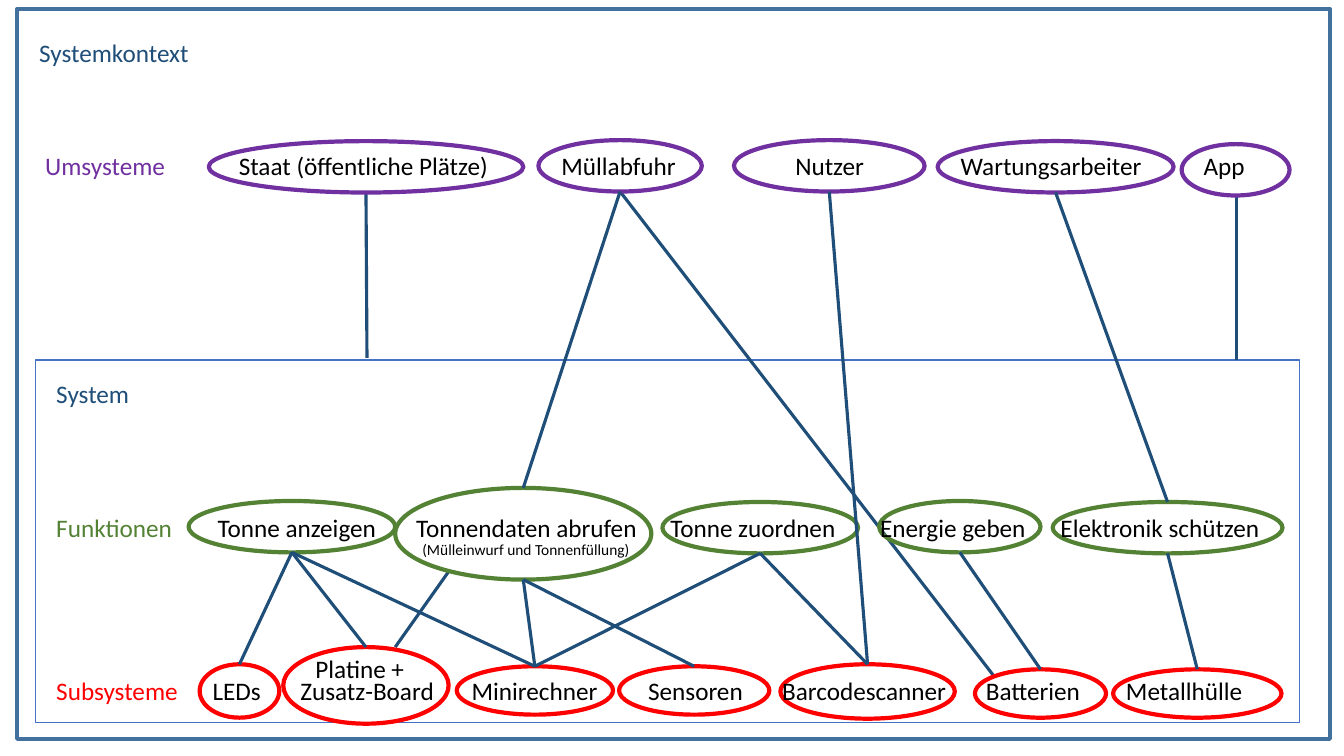
from lxml.etree import SubElement
from pptx import Presentation
from pptx.dml.color import RGBColor
from pptx.enum.shapes import MSO_CONNECTOR, MSO_SHAPE
from pptx.enum.text import MSO_AUTO_SIZE
from pptx.oxml.ns import qn
from pptx.util import Inches, Pt

NAVY, FRAME_BLUE, SYSTEM_BLUE = "1F4E79", "41719C", "4472C4"
PURPLE, GREEN, RED, BLACK = "7030A0", "548235", "FF0000", "000000"
TEXT_INSET = 0.1

# Each entry: name, text start, ellipse left, top, width, height
ENVIRONMENT = [
    ("Staat (öffentliche Plätze)", 2.37, 2.07, 1.4, 3.12, 0.51),
    ("Müllabfuhr", 5.57, 5.34, 1.39, 1.62, 0.51),
    ("Nutzer", 7.89, 7.28, 1.39, 1.89, 0.51),
    ("Wartungsarbeiter", 9.53, 9.3, 1.4, 2.34, 0.51),
    ("App", 11.94, 11.72, 1.43, 1.07, 0.51),
]
FUNCTIONS = [
    ("Tonne anzeigen", 2.16, 1.87, 4.97, 2.05, 0.51),
    ("Tonnendaten abrufen", 4.13, 3.92, 4.84, 2.54, 0.91),
    ("Tonne zuordnen", 6.65, 6.57, 4.98, 1.94, 0.51),
    ("Energie geben", 8.73, 8.72, 4.97, 1.6, 0.51),
    ("Elektronik schützen", 10.52, 10.44, 4.98, 2.28, 0.51),
]
SUBSYSTEMS = [
    ("LEDs", 2.11, 1.98, 6.59, 0.79, 0.53),
    ("Zusatz-Board", 2.98, 2.81, 6.42, 1.64, 0.76),
    ("Minirechner", 4.68, 4.53, 6.61, 1.55, 0.48),
    ("Sensoren", 6.43, 6.14, 6.61, 1.49, 0.48),
    ("Barcodescanner", 7.76, 7.74, 6.59, 1.73, 0.54),
    ("Batterien", 9.78, 9.67, 6.64, 1.3, 0.48),
    ("Metallhülle", 11.17, 11.04, 6.64, 1.67, 0.48),
]
ROWS = [
    ("Umsysteme", PURPLE, 0.35, 1.44, 12.54, ENVIRONMENT),
    ("Funktionen", GREEN, 0.46, 5.03, 12.24, FUNCTIONS),
    ("Subsysteme", RED, 0.46, 6.65, 12.24, SUBSYSTEMS),
]
LINKS = [
    ("Müllabfuhr", "Tonnendaten abrufen"),
    ("Nutzer", "Barcodescanner"),
    ("Wartungsarbeiter", "Elektronik schützen"),
    ("Tonne anzeigen", "LEDs"),
    ("Tonne anzeigen", "Zusatz-Board"),
    ("Tonne anzeigen", "Minirechner"),
    ("Tonnendaten abrufen", "Minirechner"),
    ("Tonnendaten abrufen", "Sensoren"),
    ("Tonne zuordnen", "Minirechner"),
    ("Tonne zuordnen", "Barcodescanner"),
    ("Energie geben", "Batterien"),
    ("Elektronik schützen", "Metallhülle"),
]
FREE_LINES = [
    ((6.15, 1.9), (9.86, 6.71)),
    ((3.63, 1.91), (3.64, 3.55)),
    ((12.26, 1.94), (12.26, 3.57)),
    ((4.45, 5.67), (3.92, 6.42)),
]


def color(value):
    """Turn a hex string into a colour."""
    return RGBColor.from_string(value)


def add_outline(slide, kind, box, line_color, line_width):
    """Add an unfilled preset shape."""
    shape = slide.shapes.add_shape(kind, *map(Inches, box))
    shape.shadow.inherit = False
    shape.fill.background()
    shape.line.color.rgb = color(line_color)
    shape.line.width = Pt(line_width)


def add_line(slide, start, end):
    """Add a straight navy line between two points in inches."""
    points = map(Inches, (*start, *end))
    connector = slide.shapes.add_connector(MSO_CONNECTOR.STRAIGHT, *points)
    connector.line.color.rgb = color(NAVY)
    connector.line.width = Pt(2.25)
    SubElement(connector.element.spPr, qn("a:effectLst"))


def add_text(slide, box, runs, size=18, wrap=False, tab_stops=()):
    """Add a one-paragraph text box from (text, colour) runs."""
    text_box = slide.shapes.add_textbox(*map(Inches, box))
    frame = text_box.text_frame
    frame.word_wrap = wrap
    frame.auto_size = MSO_AUTO_SIZE.SHAPE_TO_FIT_TEXT
    paragraph = frame.paragraphs[0]
    if tab_stops:
        properties = paragraph._p.get_or_add_pPr()
        tab_list = SubElement(properties, qn("a:tabLst"))
        for stop in tab_stops:
            SubElement(tab_list, qn("a:tab"), pos=str(Inches(stop)), algn="l")
    for text, text_color in runs:
        run = paragraph.add_run()
        run.text = text
        run.font.name = "Calibri"
        run.font.size = Pt(size)
        run.font.color.rgb = color(text_color)


def add_row_text(slide, title, row_color, left, top, width, nodes):
    """Add a row title and its node names, aligned by tab stops."""
    names = "".join("\t" + node[0] for node in nodes)
    stops = [node[1] - left - TEXT_INSET for node in nodes]
    runs = [(title, row_color), (names, BLACK)]
    add_text(slide, (left, top, width, 0.4), runs, wrap=True, tab_stops=stops)


def link_nodes(slide, boxes, upper, lower):
    """Join the bottom of one ellipse to the top of another."""
    left, top, width, height = boxes[upper]
    start = (left + width / 2, top + height)
    left, top, width, height = boxes[lower]
    add_line(slide, start, (left + width / 2, top))


def main():
    """Build the system context slide."""
    presentation = Presentation()
    presentation.slide_width = Inches(13.33)
    presentation.slide_height = Inches(7.5)
    slide = presentation.slides.add_slide(presentation.slide_layouts[6])

    rectangle = MSO_SHAPE.RECTANGLE
    add_outline(slide, rectangle, (0.17, 0.09, 13.02, 7.24), FRAME_BLUE, 3)
    add_outline(slide, rectangle, (0.35, 3.57, 12.54, 3.6), SYSTEM_BLUE, 1)
    for start, end in FREE_LINES:
        add_line(slide, start, end)

    boxes = {}
    for title, row_color, left, top, width, nodes in ROWS:
        for name, text_start, *box in nodes:
            boxes[name] = box
            add_outline(slide, MSO_SHAPE.OVAL, box, row_color, 3)
    for upper, lower in LINKS:
        link_nodes(slide, boxes, upper, lower)

    for row in ROWS:
        add_row_text(slide, *row)
    add_text(slide, (0.29, 0.32, 1.7, 0.4), [("Systemkontext", NAVY)])
    add_text(slide, (0.46, 3.7, 0.93, 0.4), [("System", NAVY)])
    add_text(slide, (3.03, 6.43, 1.21, 0.4), [("Platine +", BLACK)])
    fill_note = [("(Mülleinwurf und Tonnenfüllung)", BLACK)]
    add_text(slide, (4.09, 5.31, 2.55, 0.29), fill_note, size=11, wrap=True)

    presentation.save("out.pptx")


if __name__ == "__main__":
    main()
